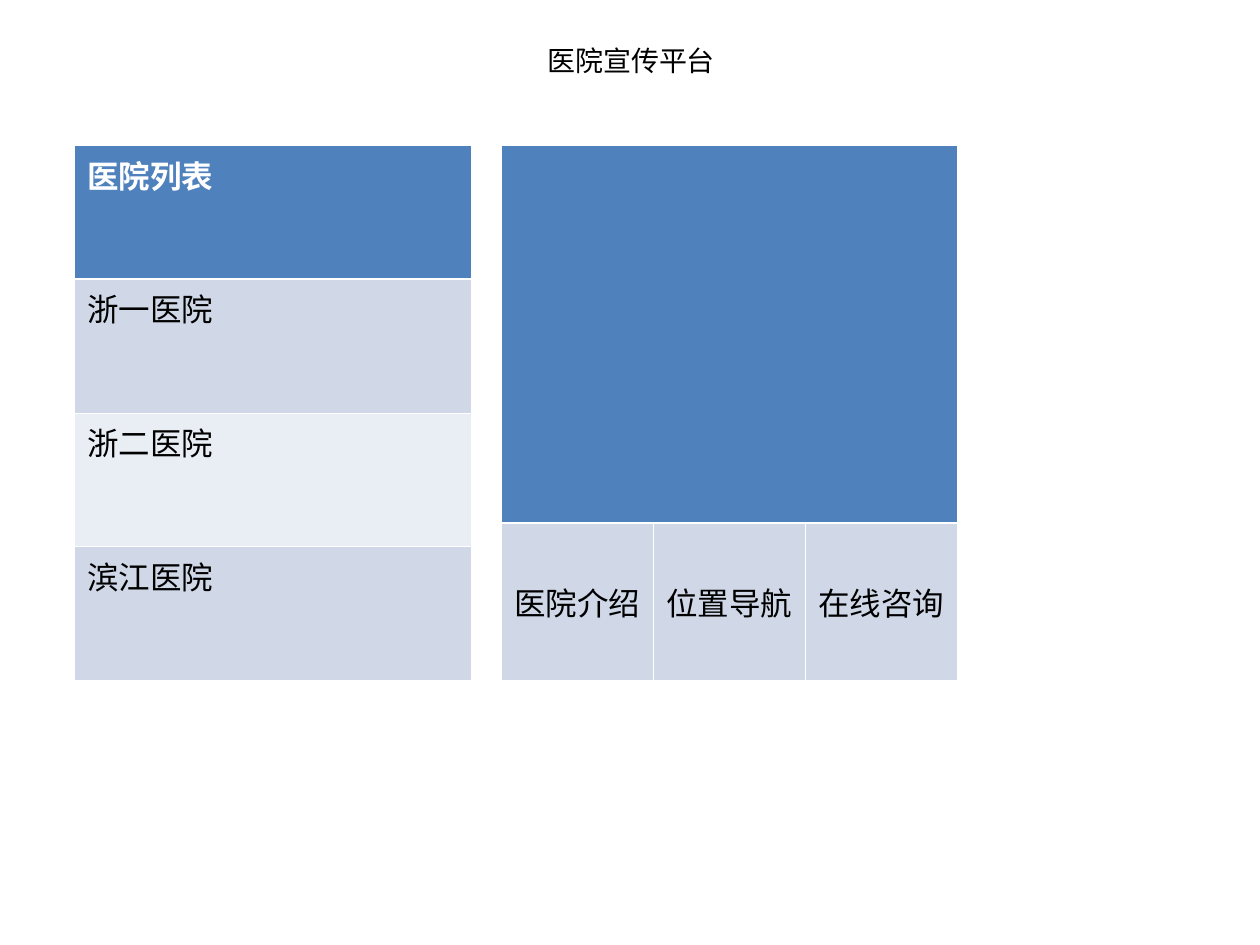
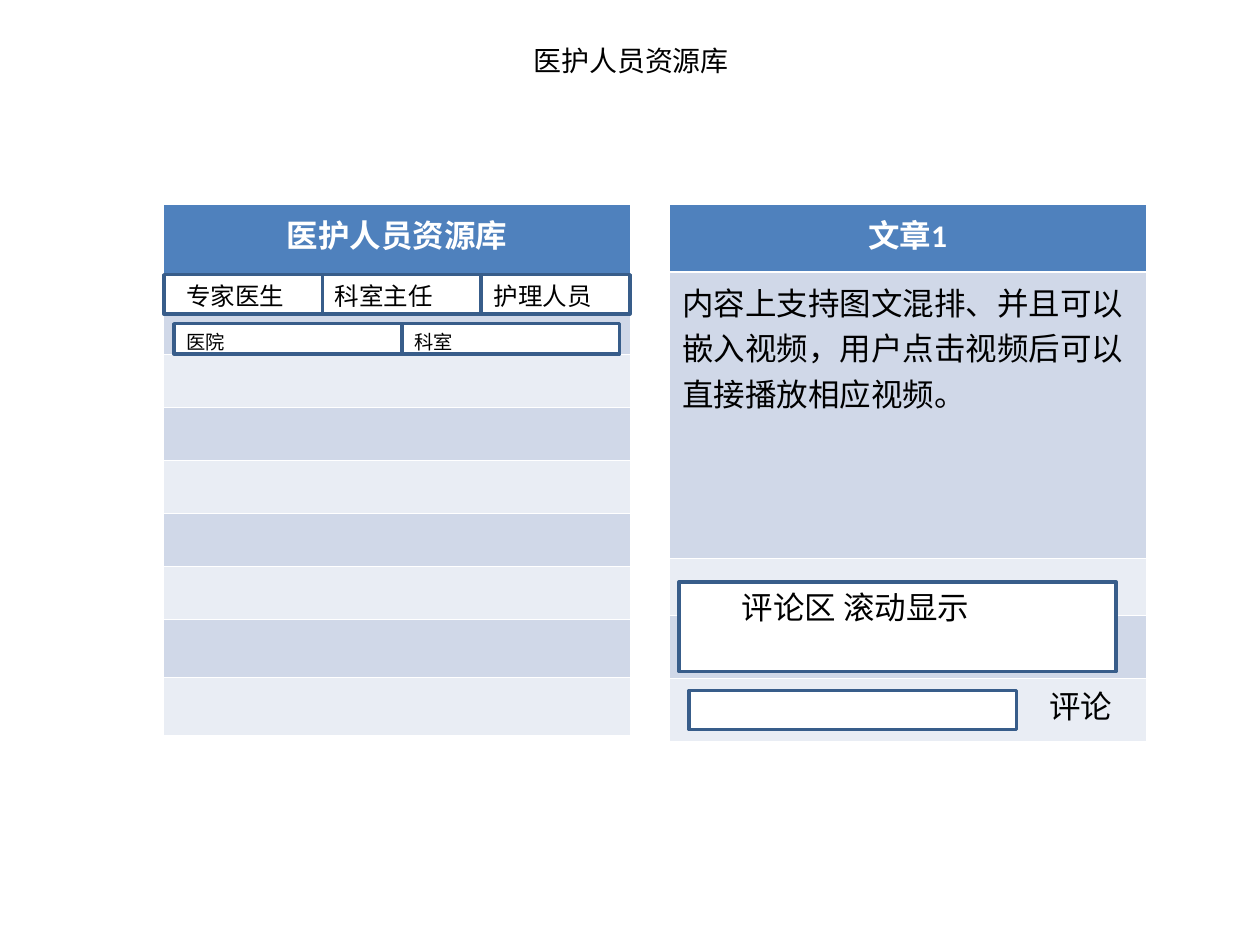
from dataclasses import dataclass
from itertools import pairwise

from lxml import etree
from pptx import Presentation
from pptx.dml.color import RGBColor
from pptx.enum.shapes import MSO_SHAPE
from pptx.enum.text import MSO_ANCHOR, PP_ALIGN
from pptx.oxml.ns import qn
from pptx.util import Pt

RECTANGLE = MSO_SHAPE.RECTANGLE
TOP, MIDDLE = MSO_ANCHOR.TOP, MSO_ANCHOR.MIDDLE
LEFT, CENTER = PP_ALIGN.LEFT, PP_ALIGN.CENTER
TITLE_ONLY = 5


@dataclass(frozen=True)
class Theme:
    font: str = "Calibri"
    header: str = "4F81BD"
    bands: tuple = ("D0D8E8", "E9EDF4")
    outline: str = "385D8A"
    white: str = "FFFFFF"
    black: str = "000000"
    title_size: float = 16
    body_size: float = 18
    tab_size: float = 14
    filter_size: float = 11
    outline_width: float = 2
    rule: float = 0.45
    header_rule: float = 1.47


THEME = Theme()


def add_run(paragraph, text, size, color=THEME.black, bold=False):
    run = paragraph.add_run()
    run.text = text
    run.font.name = THEME.font
    run.font.size = Pt(size)
    run.font.bold = bold
    run.font.color.rgb = RGBColor.from_string(color)


def add_titled_slide(presentation, text):
    slide = presentation.slides.add_slide(presentation.slide_layouts[TITLE_ONLY])
    title = slide.shapes.title
    title.left, title.top, title.width, title.height = Pt(150.5), Pt(0), Pt(420.5), Pt(68.4)
    title.text_frame.vertical_anchor = MIDDLE
    paragraph = title.text_frame.paragraphs[0]
    paragraph.alignment = CENTER
    add_run(paragraph, text, THEME.title_size)
    return slide


def set_borders(cell, top, bottom):
    """Draw white rules around a cell; the borders must precede its fill."""
    properties = cell._tc.get_or_add_tcPr()
    widths = {"a:lnL": THEME.rule, "a:lnR": THEME.rule, "a:lnT": top, "a:lnB": bottom}
    for position, (tag, width) in enumerate(widths.items()):
        line = etree.Element(qn(tag), w=str(Pt(width)))
        fill = etree.SubElement(line, qn("a:solidFill"))
        etree.SubElement(fill, qn("a:srgbClr"), val=THEME.white)
        properties.insert(position, line)


def add_banded_table(slide, left, top, width, row_heights, rows,
                     header_alignment=LEFT, body_anchor=TOP):
    """Add a table with a header row and alternating bands below it."""
    column_count = max(len(row) for row in rows)
    table = slide.shapes.add_table(len(rows), column_count, Pt(left), Pt(top),
                                   Pt(width), Pt(sum(row_heights))).table
    table.horz_banding = False
    for column in table.columns:
        column.width = Pt(width / column_count)
    for row_index, (height, texts) in enumerate(zip(row_heights, rows)):
        table.rows[row_index].height = Pt(height)
        is_header = row_index == 0
        fill = THEME.header if is_header else THEME.bands[(row_index - 1) % 2]
        for column_index in range(column_count):
            cell = table.cell(row_index, column_index)
            cell.fill.solid()
            cell.fill.fore_color.rgb = RGBColor.from_string(fill)
            set_borders(cell,
                        THEME.header_rule if row_index == 1 else THEME.rule,
                        THEME.header_rule if is_header else THEME.rule)
            cell.vertical_anchor = TOP if is_header else body_anchor
            text = texts[column_index] if column_index < len(texts) else ""
            if text:
                paragraph = cell.text_frame.paragraphs[0]
                paragraph.alignment = header_alignment if is_header else LEFT
                add_run(paragraph, text, THEME.body_size,
                        THEME.white if is_header else THEME.black, is_header)
        if len(texts) < column_count:
            table.cell(row_index, 0).merge(table.cell(row_index, column_count - 1))


def add_box(slide, left, top, width, height):
    box = slide.shapes.add_shape(RECTANGLE, Pt(left), Pt(top), Pt(width), Pt(height))
    box.shadow.inherit = False
    box.fill.solid()
    box.fill.fore_color.rgb = RGBColor.from_string(THEME.white)
    box.line.color.rgb = RGBColor.from_string(THEME.outline)
    box.line.width = Pt(THEME.outline_width)


def add_label(slide, text, left, top, width, height, size):
    frame = slide.shapes.add_textbox(Pt(left), Pt(top), Pt(width), Pt(height)).text_frame
    frame.word_wrap = True
    add_run(frame.paragraphs[0], text, size)


def add_box_row(slide, edges, top, height, labels, label_lefts, size):
    """Add adjoining boxes between the edges, then a label on each."""
    for left, right in pairwise(edges):
        add_box(slide, left, top, right - left, height)
    for text, left in zip(labels, label_lefts):
        add_label(slide, text, left, top, 108, size * 1.22 + 7.2, size)


def build_hospital_slide(presentation):
    slide = add_titled_slide(presentation, "医院宣传平台")
    top = 83
    # Hospital list
    add_banded_table(slide, 42.7, top, 226.6, [76.5] * 4,
                     [["医院列表"], ["浙一医院"], ["浙二医院"], ["滨江医院"]])
    # Hospital page with its three menu entries
    add_banded_table(slide, 286.7, top, 260.4, [216, 90],
                     [[""], ["医院介绍", "位置导航", "在线咨询"]], body_anchor=MIDDLE)


def build_staff_slide(presentation):
    slide = add_titled_slide(presentation, "医护人员资源库")
    top = 117
    # Staff directory
    directory_left, directory_width = 93.6, 266.4
    add_banded_table(slide, directory_left, top, directory_width,
                     [50.4, 35.3] + [30.24] * 5 + [33.1] * 2,
                     [["医护人员资源库"]] + [[""]] * 8, CENTER)
    # Article
    add_banded_table(slide, 382.6, top, 272.2, [38.6, 163.3, 33, 35.6, 36],
                     [["文章1"],
                      ["内容上支持图文混排、并且可以嵌入视频，用户点击视频后可以直接播放相应视频。"]]
                     + [[""]] * 3, CENTER)
    # Comment entry and scrolling comments
    add_box(slide, 393.8, 394.6, 187.2, 22.4)
    add_label(slide, "评论", 592.5, 388.8, 67.7, 29, THEME.body_size)
    add_box(slide, 388.1, 332.6, 249.8, 51.1)
    add_label(slide, "评论区 滚动显示", 416.9, 332.6, 187.2, 29, THEME.body_size)
    # Staff tabs and filters
    directory_right = directory_left + directory_width
    inset = 5.8
    first_label = directory_left + inset
    add_box_row(slide, [directory_left, 184.3, 275, directory_right], 157, 22.4,
                ["专家医生", "科室主任", "护理人员"],
                [first_label, 184.3, 275], THEME.tab_size)
    add_box_row(slide, [first_label, 229.7, directory_right - inset], 185, 17.2,
                ["医院", "科室"], [first_label, 229.7], THEME.filter_size)


def main():
    presentation = Presentation()
    presentation.slide_width, presentation.slide_height = Pt(720), Pt(540)
    build_hospital_slide(presentation)
    build_staff_slide(presentation)
    presentation.save("out.pptx")


if __name__ == "__main__":
    main()
